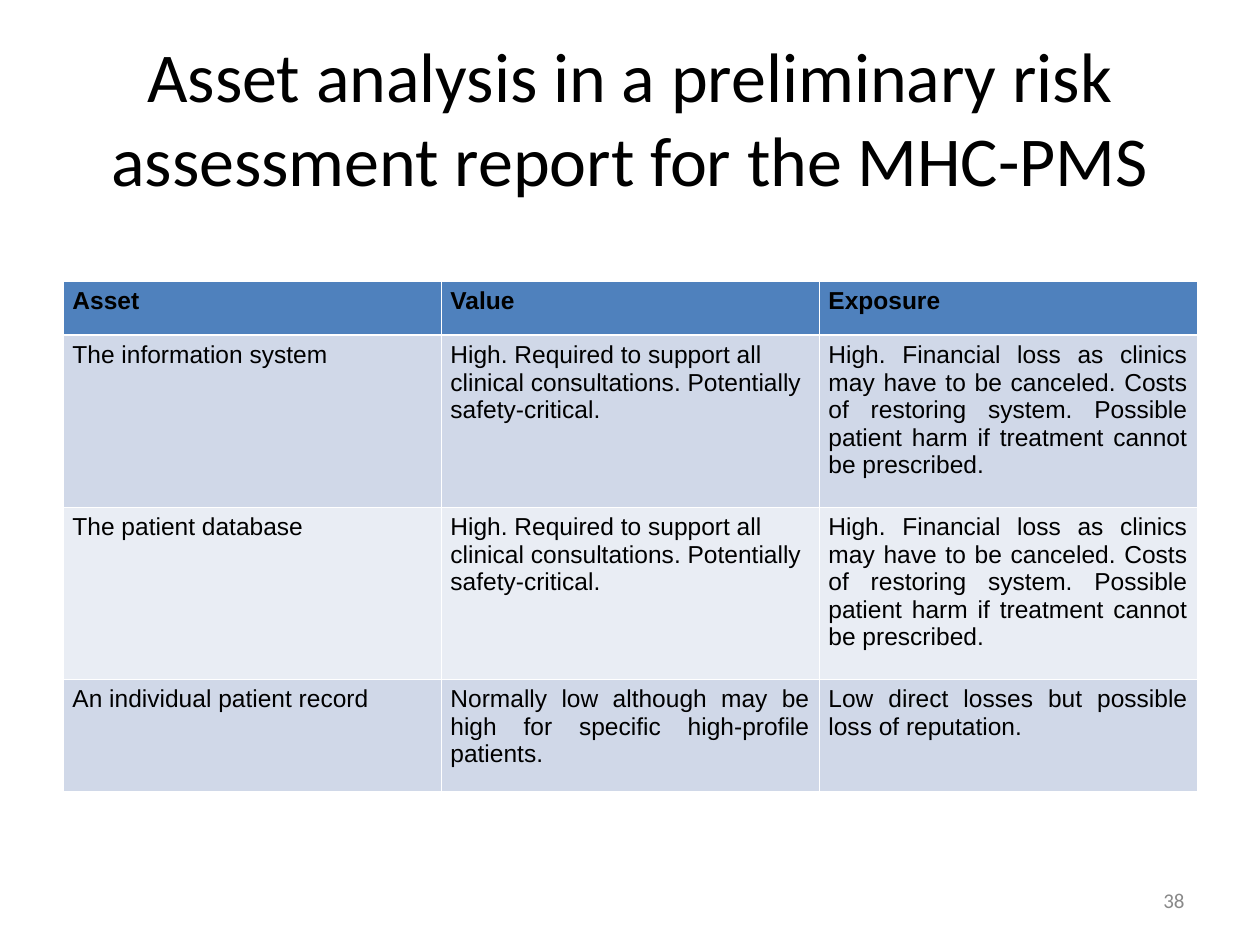
"""Build the slide on asset analysis for the MHC-PMS."""
from lxml.etree import SubElement as Sub
from pptx import Presentation
from pptx.dml.color import RGBColor as Rgb
from pptx.enum.text import MSO_ANCHOR as Anchor, PP_ALIGN as Align
from pptx.oxml.ns import qn
from pptx.util import Cm, Pt

HUES = {
    "ink": "000000",
    "page": "898989",
    "head": "4F81BD",
    "odd": "D0D8E8",
    "even": "E9EDF4",
    "rule": "FFFFFF",
}


def write(frame, text, size=14, font="Arial", hue="ink", bold=False, align=Align.JUSTIFY):
    frame.word_wrap = True
    para = frame.paragraphs[0]
    para.alignment = align
    run = para.add_run()
    run.text = text
    run.font.size = Pt(size)
    run.font.name = font
    run.font.bold = bold
    run.font.color.rgb = Rgb.from_string(HUES[hue])


def edge(cell, side, width):
    line = Sub(cell._tc.get_or_add_tcPr(), qn(f"a:{side}"), w=str(Pt(width)))
    fill = Sub(line, qn("a:solidFill"))
    Sub(fill, qn("a:srgbClr"), val=HUES["rule"])


deck = Presentation()
deck.slide_width, deck.slide_height = Cm(25.4), Cm(19.05)
slide = deck.slides.add_slide(deck.slide_layouts[6])

labels = [
    ("Asset analysis in a preliminary risk assessment report for the MHC-PMS",
     (1.27, 0.76, 22.86, 3.18), dict(size=40, align=Align.CENTER)),
    ("38", (18.2, 17.65, 5.93, 1.01), dict(size=12, hue="page", align=Align.RIGHT)),
]
for text, spot, look in labels:
    box = slide.shapes.add_textbox(*map(Cm, spot))
    box.text_frame.vertical_anchor = Anchor.MIDDLE
    write(box.text_frame, text, font="Calibri", **look)

need = "High. Required to support all clinical consultations. Potentially safety-critical."
loss = ("High. Financial loss as clinics may have to be canceled. Costs of restoring system. "
        "Possible patient harm if treatment cannot be prescribed.")
rows = [
    ("Asset", "Value", "Exposure"),
    ("The information system", need, loss),
    ("The patient database", need, loss),
    ("An individual patient record",
     "Normally low although may be high for specific high-profile patients.",
     "Low direct losses but possible loss of reputation."),
]
tall = [1.08, 3.47, 3.47, 2.27]
bands = ["head", "odd", "even", "odd"]

grid = slide.shapes.add_table(
    len(rows), 3, Cm(1.27), Cm(5.67), Cm(22.86), Cm(sum(tall))).table
for col in grid.columns:
    col.width = Cm(7.62)
for r, (row, high, band) in enumerate(zip(rows, tall, bands)):
    grid.rows[r].height = Cm(high)
    for c, text in enumerate(row):
        cell = grid.cell(r, c)
        cell.margin_left = cell.margin_right = Cm(0.19)
        cell.margin_top = cell.margin_bottom = Cm(0.13)
        for side in ("lnL", "lnR", "lnT", "lnB"):
            thick = (r, side) in [(0, "lnB"), (1, "lnT")]
            edge(cell, side, 1.47 if thick else 0.45)
        cell.fill.solid()
        cell.fill.fore_color.rgb = Rgb.from_string(HUES[band])
        align = Align.LEFT if text == need else Align.JUSTIFY
        write(cell.text_frame, text, bold=r == 0, align=align)

deck.save("out.pptx")
